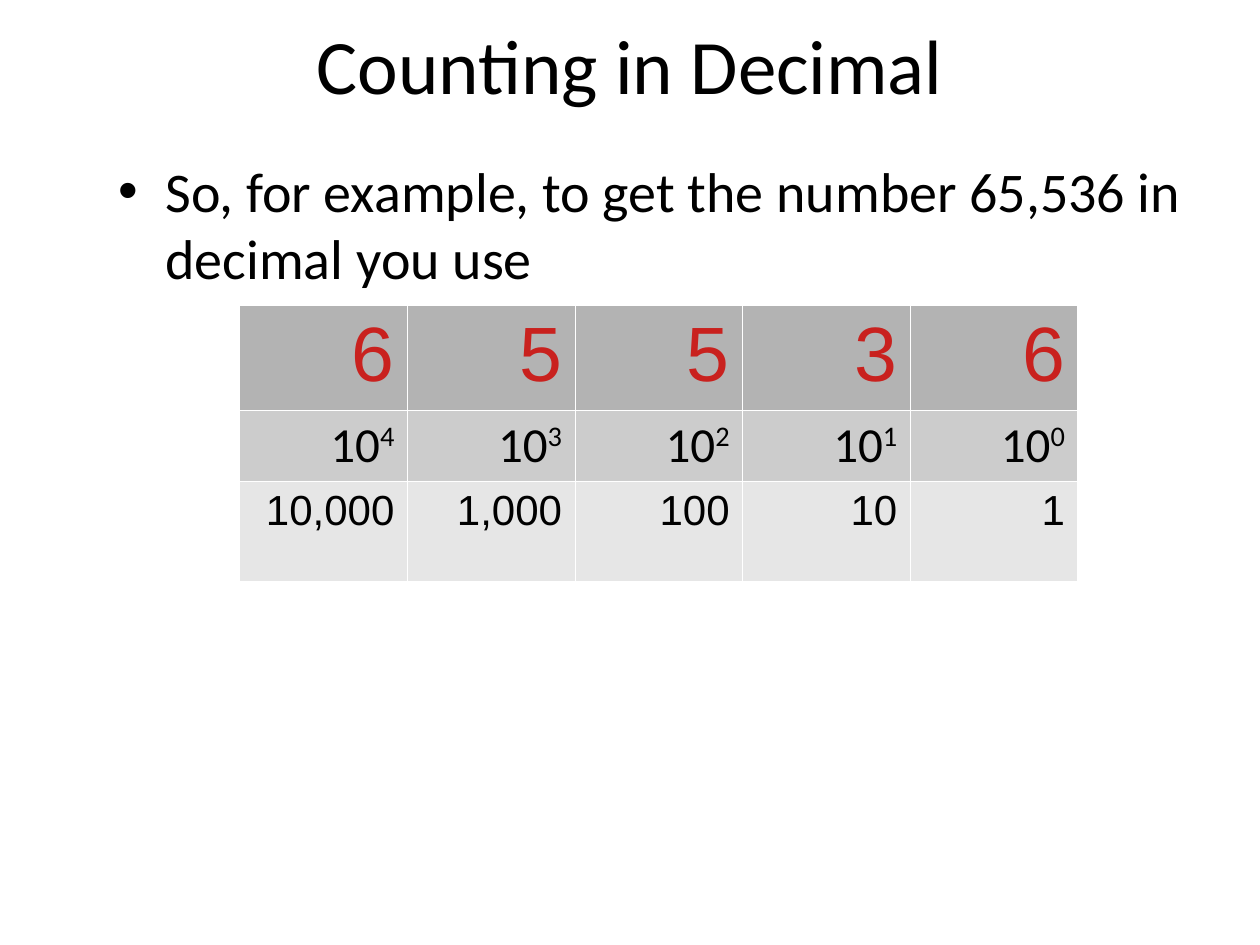
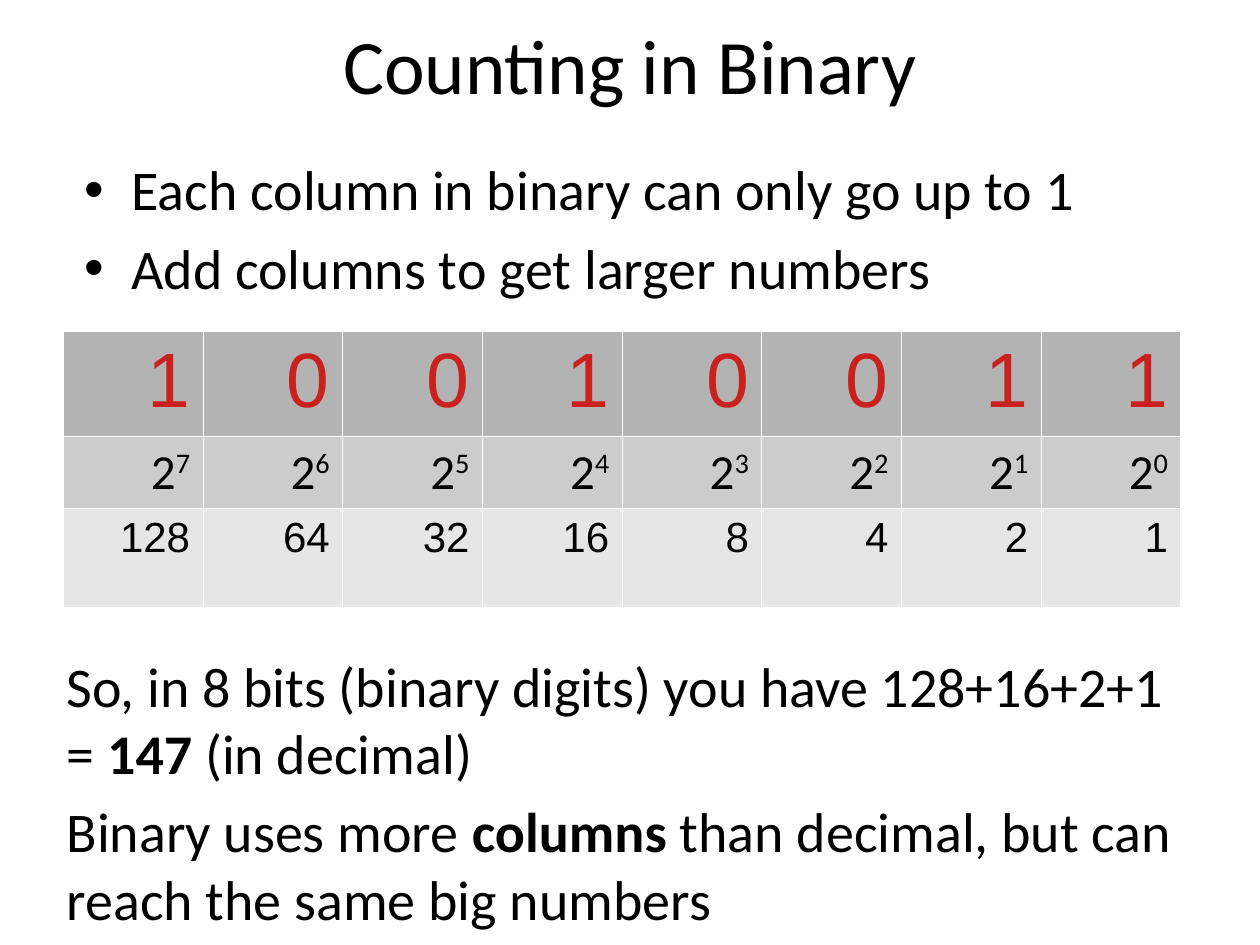
from dataclasses import dataclass

from lxml import etree
from pptx import Presentation
from pptx.dml.color import RGBColor
from pptx.enum.text import MSO_ANCHOR, PP_ALIGN
from pptx.oxml.ns import qn
from pptx.util import Pt

LEFT, CENTER, RIGHT = PP_ALIGN.LEFT, PP_ALIGN.CENTER, PP_ALIGN.RIGHT
TOP, MIDDLE = MSO_ANCHOR.TOP, MSO_ANCHOR.MIDDLE
BLANK_LAYOUT = 6


@dataclass(frozen=True)
class Theme:
    """Colours, fonts and sizes shared by the slides."""
    ink: str = "000000"
    digit: str = "C9211E"
    paper: str = "FFFFFF"
    row_fills: tuple = ("B3B3B3", "CCCCCC", "E6E6E6")
    row_heights: tuple = (56.2, 35.3, 56.9)
    text_font: str = "Calibri"
    number_font: str = "Arial"
    title_size: float = 44
    body_size: float = 32
    digit_size: float = 44
    power_size: float = 28
    value_size: float = 24
    paragraph_gap: float = 6.4
    bullet_indent: float = 27
    border_width: float = 0.06


THEME = Theme()


def add_run(paragraph, words, size, font=THEME.text_font, color=THEME.ink, bold=False):
    """Append one styled run and return it."""
    run = paragraph.add_run()
    run.text = words
    run.font.size, run.font.name, run.font.bold = Pt(size), font, bold
    run.font.color.rgb = RGBColor.from_string(color)
    return run


def add_bullet(paragraph):
    """Give a paragraph a round bullet with a hanging indent."""
    properties = paragraph._p.get_or_add_pPr()
    properties.set("marL", str(Pt(THEME.bullet_indent)))
    properties.set("indent", str(-Pt(THEME.bullet_indent)))
    tint = etree.SubElement(properties, qn("a:buClr"))
    etree.SubElement(tint, qn("a:srgbClr"), val=THEME.ink)
    etree.SubElement(properties, qn("a:buFont"), typeface="Arial")
    etree.SubElement(properties, qn("a:buChar"), char="•")


def add_text(slide, box, paragraphs, size=THEME.body_size, align=LEFT, anchor=TOP, bulleted=False):
    """Place paragraphs, each a list of (words, bold) runs, in a box."""
    frame = slide.shapes.add_textbox(*map(Pt, box)).text_frame
    frame.word_wrap, frame.vertical_anchor = True, anchor
    for index, runs in enumerate(paragraphs):
        paragraph = frame.add_paragraph() if index else frame.paragraphs[0]
        if bulleted:
            add_bullet(paragraph)
        paragraph.alignment = align
        paragraph.space_before = Pt(THEME.paragraph_gap if index else 0)
        for words, bold in runs:
            add_run(paragraph, words, size, bold=bold)


def add_title(slide, title):
    """Place the centred slide title."""
    add_text(slide, (36, 14.4, 648, 43.9), [[(title, False)]], THEME.title_size, CENTER, MIDDLE)


def add_bullets(slide, box, points):
    """Place a bulleted list in a box."""
    add_text(slide, box, [[(point, False)] for point in points], bulleted=True)


def style_cell(cell, fill):
    """Fill a cell and draw its thin borders."""
    cell.fill.solid()
    cell.fill.fore_color.rgb = RGBColor.from_string(fill)
    properties = cell._tc.get_or_add_tcPr()
    for position, side in enumerate(("lnL", "lnR", "lnT", "lnB")):
        border = etree.Element(qn(f"a:{side}"), w=str(Pt(THEME.border_width)))
        paint = etree.SubElement(border, qn("a:solidFill"))
        etree.SubElement(paint, qn("a:srgbClr"), val=THEME.paper)
        properties.insert(position, border)


def add_place_values(slide, left, top, width, digits, base):
    """Tabulate digits above the power and value of each column."""
    count = len(digits)
    table = slide.shapes.add_table(
        len(THEME.row_heights), count, Pt(left), Pt(top), Pt(width), Pt(sum(THEME.row_heights))
    ).table
    table.first_row = table.horz_banding = False
    for row, height in zip(table.rows, THEME.row_heights):
        row.height = Pt(height)
    for column, digit in enumerate(digits):
        table.columns[column].width = Pt(width / count)
        power = count - 1 - column
        cells = [table.cell(row, column) for row in range(len(THEME.row_heights))]
        for cell, fill in zip(cells, THEME.row_fills):
            style_cell(cell, fill)
        digit_line, power_line, value_line = (cell.text_frame.paragraphs[0] for cell in cells)
        for line in (digit_line, power_line, value_line):
            line.alignment = RIGHT
        add_run(digit_line, digit, THEME.digit_size, THEME.number_font, THEME.digit)
        add_run(power_line, str(base), THEME.power_size)
        exponent = add_run(power_line, str(power), THEME.power_size)
        exponent.font._element.set("baseline", "33000")
        add_run(value_line, f"{base ** power:,}", THEME.value_size, THEME.number_font)


def build_decimal(slide):
    """Show 65,536 by decimal place values."""
    add_title(slide, "Counting in Decimal")
    add_bullets(slide, (60.5, 85.7, 648, 311),
                ["So, for example, to get the number 65,536 in decimal you use"])
    add_place_values(slide, 136.8, 174.3, 479, "65536", 10)


def build_binary(slide):
    """Show 147 by binary place values."""
    add_title(slide, "Counting in Binary")
    add_bullets(slide, (41, 85, 648, 99.4),
                ["Each column in binary can only go up to 1", "Add columns to get larger numbers"])
    add_place_values(slide, 36, 189.4, 638.6, "10010011", 2)
    add_text(slide, (31, 368.6, 662.4, 171.4), [
        [("So, in 8 bits (binary digits) you have 128+16+2+1 = ", False),
         ("147 ", True), ("(in decimal)", False)],
        [("Binary uses more ", False), ("columns", True),
         (" than decimal, but can reach the same big numbers", False)],
    ])


def main():
    """Build and save the deck."""
    deck = Presentation()
    deck.slide_width, deck.slide_height = Pt(720), Pt(540)
    for build in (build_decimal, build_binary):
        slide = deck.slides.add_slide(deck.slide_layouts[BLANK_LAYOUT])
        slide.background.fill.solid()
        slide.background.fill.fore_color.rgb = RGBColor.from_string(THEME.paper)
        build(slide)
    deck.save("out.pptx")


if __name__ == "__main__":
    main()
